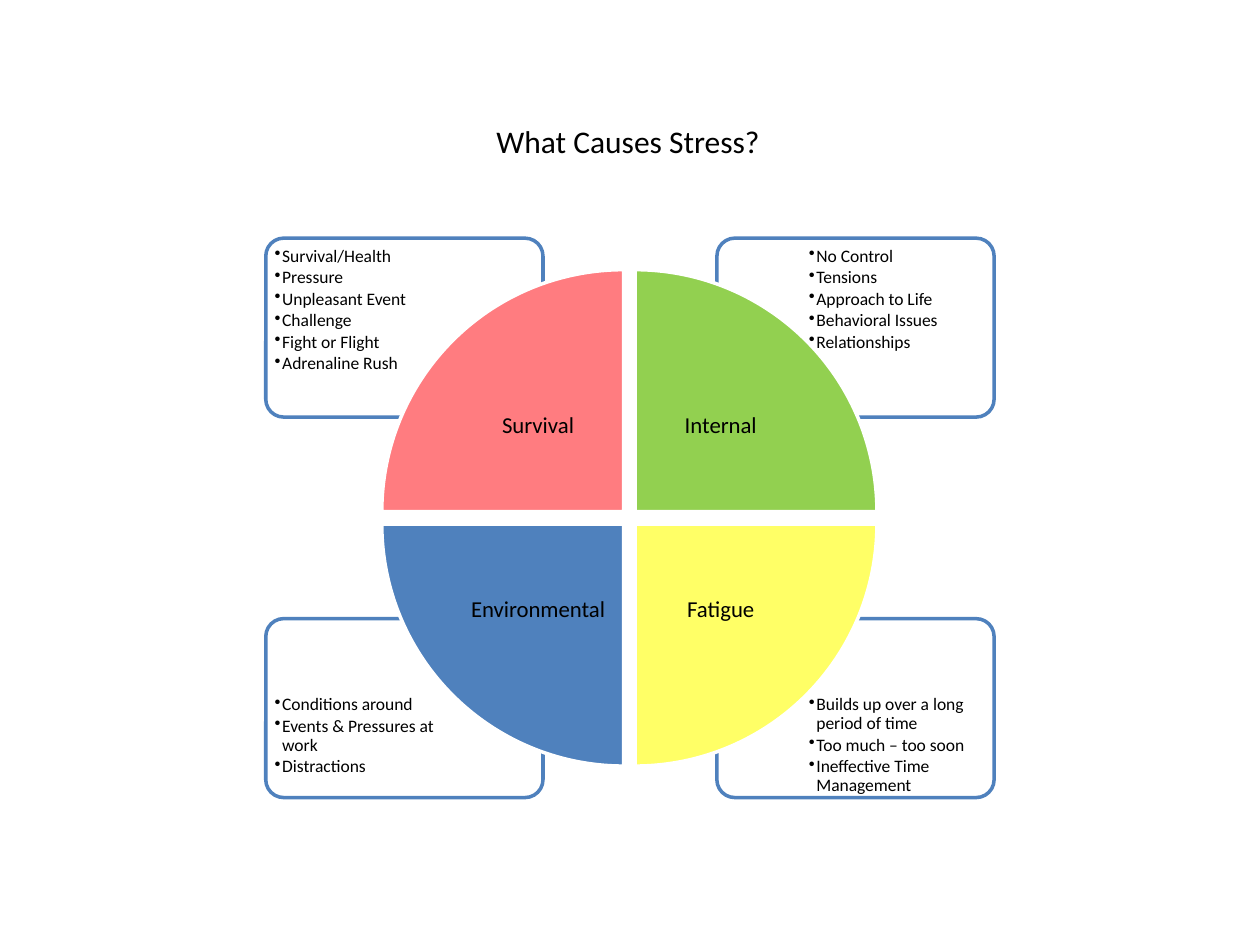
from pptx import Presentation
from pptx.util import Inches, Pt
from pptx.dml.color import RGBColor
from pptx.enum import shapes, text
from pptx.oxml import parse_xml
from pptx.oxml.ns import nsdecls

HUES = {"red": "FF7C80", "green": "92D050", "yellow": "FFFF66",
        "blue": "4F81BD", "white": "FFFFFF", "black": "000000"}
TITLE = "What Causes Stress?"
CAUSES = [
    ("Fatigue", "yellow", 1, 1, 180,
     ["Builds up over a long period of time", "Too much – too soon",
      "Ineffective Time Management"]),
    ("Environmental", "blue", 0, 1, 270,
     ["Conditions around", "Events & Pressures at work", "Distractions"]),
    ("Internal", "green", 1, 0, 90,
     ["No Control", "Tensions", "Approach to Life", "Behavioral Issues",
      "Relationships"]),
    ("Survival", "red", 0, 0, 0,
     ["Survival/Health", "Pressure", "Unpleasant Event", "Challenge",
      "Fight or Flight", "Adrenaline Rush"]),
]
BOX_X, BOX_Y = (2.11, 5.69), (1.89, 4.91)
LIST_X, LIST_Y = (2.14, 6.38), (1.92, 5.3)
PIE_X, PIE_Y = (3.03, 5.04), (2.14, 4.16)
PIE, LABEL = 1.92, 1.36

deck = Presentation()
deck.slide_width, deck.slide_height = Inches(10), Inches(7.5)
slide = deck.slides.add_slide(deck.slide_layouts[6])


def color(name):
    return RGBColor.from_string(HUES[name])


def add_form(kind, x, y, w, h, fill, line):
    form = slide.shapes.add_shape(kind, *map(Inches, (x, y, w, h)))
    form.shadow.inherit = False
    form.fill.solid()
    form.fill.fore_color.rgb = color(fill)
    form.line.color.rgb = color(line)
    form.line.width = Pt(2)
    return form


def add_text(x, y, w, h, lines, size, pad, align=None, wrap=True):
    box = slide.shapes.add_textbox(*map(Inches, (x, y, w, h)))
    frame = box.text_frame
    frame.word_wrap = wrap
    frame.margin_left = frame.margin_right = Inches(pad)
    frame.margin_top = frame.margin_bottom = Inches(min(pad, 0.05))
    frame.text = "\n".join(lines)
    for para in frame.paragraphs:
        para.alignment = align
        para.font.size = Pt(size)
        para.font.name = "Calibri"
        para.font.color.rgb = color("black")
    return frame


def add_list(x, y, lines, top):
    frame = add_text(x, y, 1.47, 1, lines, 10, 0.04)
    frame.margin_top = Inches(top)
    for para in frame.paragraphs:
        para.line_spacing = 0.9
        para.space_after = Pt(1.5)
        props = para._p.get_or_add_pPr()
        props.set("marL", str(Inches(0.06)))
        props.set("indent", str(-Inches(0.06)))
        mark = parse_xml(f'<a:buChar {nsdecls("a")} char="•"/>')
        props.insert_element_before(mark, "a:tabLst", "a:defRPr", "a:extLst")


for name, hue, col, row, turn, points in CAUSES:
    card = add_form(shapes.MSO_SHAPE.ROUNDED_RECTANGLE, BOX_X[col], BOX_Y[row],
                    2.2, 1.42, "white", "blue")
    card.adjustments[0] = 0.1
    add_list(LIST_X[col], LIST_Y[row], points, 0.22 if row else 0.04)

for name, hue, col, row, turn, points in reversed(CAUSES):
    x, y = PIE_X[col], PIE_Y[row]
    wedge = add_form(shapes.MSO_SHAPE.PIE_WEDGE, x, y, PIE, PIE, hue, "white")
    wedge.rotation = turn
    inset = PIE - LABEL
    frame = add_text(x + inset * (1 - col), y + inset * (1 - row), LABEL, LABEL,
                     [name], 13, 0.1, text.PP_ALIGN.CENTER)
    frame.vertical_anchor = text.MSO_ANCHOR.MIDDLE
    frame.paragraphs[0].line_spacing = 0.9

add_text(3.83, 0.92, 2.31, 0.4, [TITLE], 18, 0.1, text.PP_ALIGN.CENTER, False)
deck.save("out.pptx")
